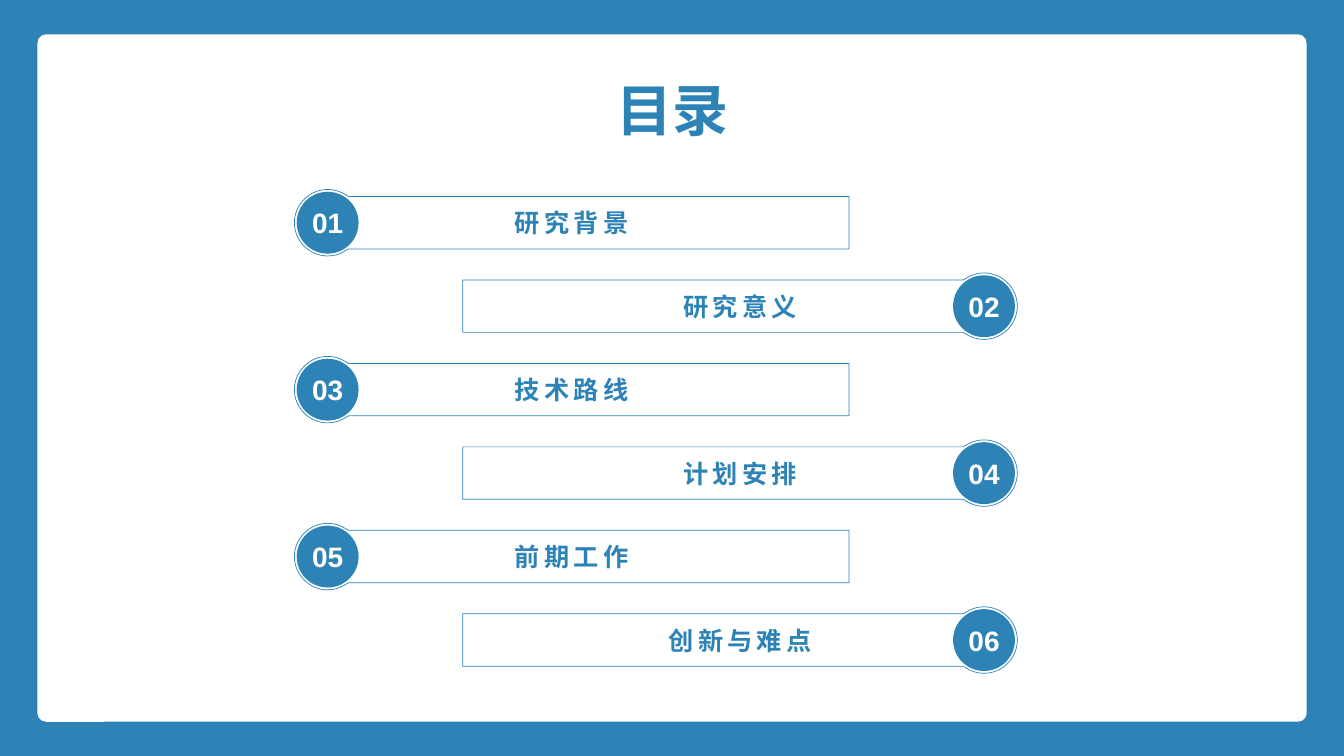
from dataclasses import dataclass

from lxml.etree import SubElement
from pptx import Presentation
from pptx.dml.color import RGBColor
from pptx.enum.shapes import MSO_SHAPE as Shape
from pptx.enum.text import MSO_ANCHOR as Anchor, MSO_AUTO_SIZE as AutoSize, PP_ALIGN as Align
from pptx.oxml.ns import qn
from pptx.util import Inches, Pt

BLUE, WHITE = "2D83B6", "FFFFFF"
CJK, LATIN = "Noto Sans CJK SC", "Arial"
FIRST_Y, LAST_Y = 2.21, 6.35
RING_RADIUS, DISC_RADIUS = 0.33, 0.3
BAR_LENGTH, BAR_HALF = 5.17, 0.26
SEGMENTS = "CLLLLLCCC"


@dataclass
class Side:
    hub_x: float
    direction: int


@dataclass
class Entry:
    number: str
    topic: str
    side: Side
    y: float


LEFT = Side(3.25, 1)
RIGHT = Side(9.76, -1)
TOPICS = ["研究背景", "研究意义", "技术路线", "计划安排", "前期工作", "创新与难点"]
PITCH = (LAST_Y - FIRST_Y) / (len(TOPICS) - 1)
ENTRIES = [
    Entry(f"{i + 1:02}", topic, (LEFT, RIGHT)[i % 2], FIRST_Y + i * PITCH)
    for i, topic in enumerate(TOPICS)
]


def rgb(value: str) -> RGBColor:
    return RGBColor.from_string(value)


def write(shape, text: str, size: float, face: str, color: str, spacing: int = 0) -> None:
    shape.text_frame.text = text
    paragraph = shape.text_frame.paragraphs[0]
    paragraph.alignment = Align.CENTER
    font = paragraph.font
    font.size, font.bold, font.name = Pt(size), True, face
    font.color.rgb = rgb(color)
    SubElement(font._rPr, qn("a:ea")).set("typeface", face)
    if spacing:
        font._rPr.set("spc", str(spacing * 100))


def clear_margins(shape) -> None:
    frame = shape.text_frame
    frame.margin_left = frame.margin_right = frame.margin_top = frame.margin_bottom = 0


def place(shape, left: float, top: float, width: float, height: float) -> None:
    shape.left, shape.top = Inches(left), Inches(top)
    shape.width, shape.height = Inches(width), Inches(height)


def add_filled(slide, kind: Shape, box: tuple[float, ...], color: str):
    shape = slide.shapes.add_shape(kind, *map(Inches, box))
    shape.shadow.inherit = False
    shape.fill.solid()
    shape.fill.fore_color.rgb = rgb(color)
    shape.line.fill.background()
    return shape


def bend_segments(freeform) -> None:
    steps = iter(list(freeform._element.iter(qn("a:lnTo"))))
    for segment in SEGMENTS:
        step = next(steps)
        if segment == "C":
            step.tag = qn("a:cubicBezTo")
            for _ in range(2):
                following = next(steps)
                step.append(following[0])
                following.getparent().remove(following)


def draw_bar(slide, entry: Entry) -> None:
    r, h = RING_RADIUS, BAR_HALF
    upper = [(0, -r), (0.07, -r), (0.13, -0.31), (0.19, -0.27), (0.21, -h), (BAR_LENGTH, -h)]
    lower = [(x, -y) for x, y in reversed(upper)]
    back = [(-0.18, r), (-r, 0.18), (-r, 0), (-r, -0.18), (-0.18, -r), (0, -r)]
    points = [
        (Inches(entry.side.hub_x + entry.side.direction * x), Inches(entry.y + y))
        for x, y in upper + lower + back
    ]
    builder = slide.shapes.build_freeform(*points[0])
    builder.add_line_segments(points[1:], close=True)
    bar = builder.convert_to_shape()
    bend_segments(bar)
    bar.shadow.inherit = False
    bar.fill.background()
    bar.line.color.rgb = rgb(BLUE)
    bar.line.width = Pt(0.5)
    bar.text_frame.vertical_anchor = Anchor.MIDDLE
    write(bar, entry.topic, 18, CJK, BLUE, spacing=3)


def draw_entry(slide, entry: Entry) -> None:
    draw_bar(slide, entry)
    hub_x, y = entry.side.hub_x, entry.y
    disc_box = (hub_x - DISC_RADIUS, y - DISC_RADIUS, 2 * DISC_RADIUS, 2 * DISC_RADIUS)
    disc = add_filled(slide, Shape.OVAL, disc_box, BLUE)
    disc.line.color.rgb = rgb(BLUE)
    disc.line.width = Pt(1)
    number = slide.shapes.add_textbox(*map(Inches, (hub_x - 0.27, y - 0.2, 0.54, 0.4)))
    clear_margins(number)
    number.text_frame.word_wrap = True
    number.text_frame.vertical_anchor = Anchor.MIDDLE
    write(number, entry.number, 20, LATIN, WHITE)


def draw_title(slide) -> None:
    title = slide.shapes.title
    slide.shapes._spTree.append(title._element)
    place(title, 6.11, 0.75, 1.12, 0.67)
    clear_margins(title)
    title.text_frame.word_wrap = False
    title.text_frame.auto_size = AutoSize.SHAPE_TO_FIT_TEXT
    title.text_frame.vertical_anchor = Anchor.TOP
    write(title, "目录", 40, CJK, BLUE)


def main() -> None:
    deck = Presentation()
    deck.slide_width, deck.slide_height = Inches(13.33), Inches(7.5)
    slide = deck.slides.add_slide(deck.slide_layouts[5])
    add_filled(slide, Shape.RECTANGLE, (0, 0, 13.33, 7.5), BLUE)
    panel = add_filled(slide, Shape.ROUNDED_RECTANGLE, (0.37, 0.34, 12.59, 6.82), WHITE)
    panel.adjustments[0] = 0.013
    draw_title(slide)
    for entry in ENTRIES:
        draw_entry(slide, entry)
    deck.save("out.pptx")


if __name__ == "__main__":
    main()
